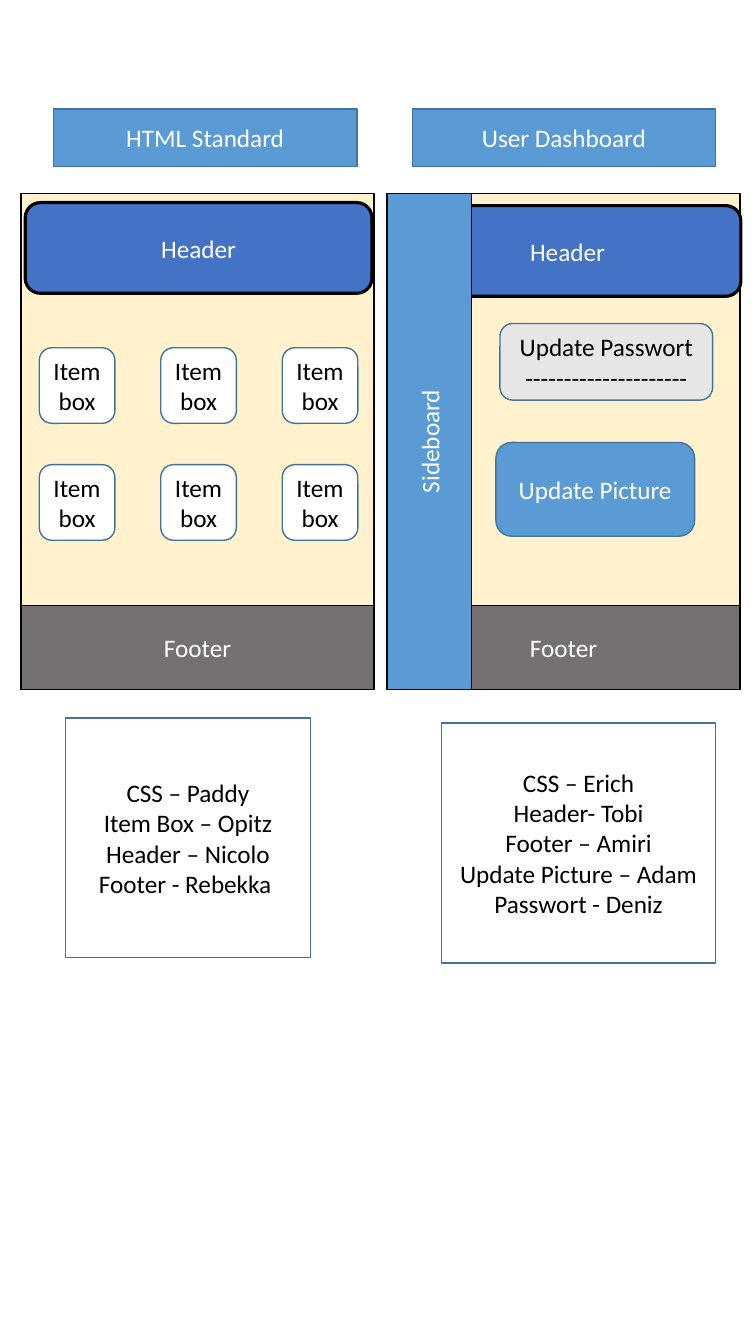
from dataclasses import dataclass

from lxml import etree
from pptx import Presentation
from pptx.dml.color import RGBColor
from pptx.enum.shapes import MSO_SHAPE
from pptx.enum.text import MSO_ANCHOR, MSO_AUTO_SIZE, PP_ALIGN
from pptx.oxml.ns import qn
from pptx.util import Inches, Pt

RECTANGLE = MSO_SHAPE.RECTANGLE
ROUNDED = MSO_SHAPE.ROUNDED_RECTANGLE
CENTER = PP_ALIGN.CENTER
MIDDLE = MSO_ANCHOR.MIDDLE
NO_AUTOFIT = MSO_AUTO_SIZE.NONE
COMPARISON_LAYOUT = 4


@dataclass(frozen=True)
class Theme:
    """Colours, font and sizes of the slide."""
    font: str = "Calibri"
    text_size: float = 18
    thin: float = 1
    thick: float = 2.25
    white: str = "FFFFFF"
    black: str = "000000"
    page: str = "FFF2CC"
    header: str = "4472C4"
    footer: str = "767171"
    accent: str = "5B9BD5"
    outline: str = "43739E"
    field: str = "E7E6E6"


THEME = Theme()


@dataclass(frozen=True)
class Box:
    """A rectangle measured in EMU."""
    left: int
    top: int
    width: int
    height: int

    def share(self, left, top, width, height):
        """Return an inner box given in percent of this box."""
        return Box(self.left + round(self.width * left / 100),
                   self.top + round(self.height * top / 100),
                   round(self.width * width / 100),
                   round(self.height * height / 100))

    def turned(self):
        """Return the box with swapped sides around the same centre."""
        shift = (self.width - self.height) // 2
        return Box(self.left + shift, self.top - shift, self.height, self.width)


def style(shape, fill, line, line_width=THEME.thin):
    """Set fill and outline; a fill of None leaves the shape open."""
    if fill:
        shape.fill.solid()
        shape.fill.fore_color.rgb = RGBColor.from_string(fill)
    else:
        shape.fill.background()
    shape.line.color.rgb = RGBColor.from_string(line)
    shape.line.width = Pt(line_width)


def write(shape, paragraphs, color):
    """Write centred paragraphs; a newline inside one is a line break."""
    frame = shape.text_frame
    frame.word_wrap = True
    frame.auto_size = NO_AUTOFIT
    frame.vertical_anchor = MIDDLE
    for index, text in enumerate(paragraphs):
        paragraph = frame.add_paragraph() if index else frame.paragraphs[0]
        paragraph.alignment = CENTER
        paragraph.line_spacing = 1.0
        paragraph.space_before = Pt(0)
        for number, line in enumerate(text.split("\n")):
            if number:
                paragraph.add_line_break()
            run = paragraph.add_run()
            run.text = line
            run.font.name = THEME.font
            run.font.size = Pt(THEME.text_size)
            run.font.bold = False
            run.font.color.rgb = RGBColor.from_string(color)


def add_block(slide, box, kind, fill, paragraphs=(), color=THEME.white,
              line=THEME.black, line_width=THEME.thin):
    """Add a preset shape with centred text."""
    shape = slide.shapes.add_shape(kind, box.left, box.top, box.width, box.height)
    shape.shadow.inherit = False
    style(shape, fill, line, line_width)
    write(shape, paragraphs, color)
    return shape


def fill_placeholder(slide, index, box, paragraphs, fill, color):
    """Move a text placeholder to the box and format it without bullets."""
    shape = slide.placeholders[index]
    shape.left, shape.top, shape.width, shape.height = (
        box.left, box.top, box.width, box.height)
    style(shape, fill, THEME.outline)
    write(shape, paragraphs, color)
    for paragraph in shape.text_frame.paragraphs:
        properties = paragraph._p.get_or_add_pPr()
        properties.set("marL", "0")
        properties.set("indent", "0")
        etree.SubElement(properties, qn("a:buNone"))


def add_page(slide, box, header_left, header_top):
    """Draw the frame, header and footer of a mock page."""
    add_block(slide, box, RECTANGLE, THEME.page)
    add_block(slide, box.share(header_left, header_top, 98.3, 18.3), ROUNDED,
              THEME.header, ["Header"], line_width=THEME.thick)
    add_block(slide, box.share(0, 83.1, 100, 16.9), RECTANGLE,
              THEME.footer, ["Footer"])


def add_standard_page(slide, box):
    """Draw the standard page with its grid of item boxes."""
    add_page(slide, box, 1.14, 1.83)
    for row in range(2):
        for column in range(3):
            cell = box.share(5.14 + 34.43 * column, 31.1 + 23.58 * row, 21.43, 15.24)
            item = add_block(slide, cell, ROUNDED, THEME.white, ["Item\nbox"],
                             THEME.black, THEME.outline)
            item.text_frame.margin_left = item.text_frame.margin_right = 0


def add_dashboard_page(slide, box):
    """Draw the dashboard page with its sideboard and update controls."""
    add_page(slide, box, 2, 2.44)
    sideboard = add_block(slide, box.share(0, 0, 24, 100).turned(), RECTANGLE,
                          THEME.accent, ["Sideboard"])
    sideboard.rotation = 270
    add_block(slide, box.share(30.86, 50.2, 56.29, 18.9), ROUNDED, THEME.accent,
              ["Update Picture"], line=THEME.outline)
    add_block(slide, box.share(32, 26.22, 60.29, 15.45), ROUNDED, THEME.field,
              ["Update Passwort", "-" * 21], THEME.black, THEME.outline)


def add_comparison(slide, box):
    """Place both headings, mock pages and team lists."""
    columns = (
        ("HTML Standard", 7.07, add_standard_page, 2.8, (8.67, 53.41, 32.4, 17.85),
         ["CSS – Paddy", "Item Box – Opitz", "Header – Nicolo", "Footer - Rebekka "]),
        ("User Dashboard", 54.53, add_dashboard_page, 51.2, (58.4, 53.79, 36.27, 17.85),
         ["CSS – Erich", "Header- Tobi", "Footer – Amiri", "Update Picture – Adam",
          "Passwort - Deniz"]),
    )
    for number, (heading, heading_left, add_mock, page_left, team_box, team) in enumerate(columns):
        fill_placeholder(slide, 1 + 2 * number, box.share(heading_left, 8.1, 40.13, 4.28),
                         [heading], THEME.accent, THEME.white)
        add_mock(slide, box.share(page_left, 14.4, 46.67, 36.9))
        fill_placeholder(slide, 2 + 2 * number, box.share(*team_box),
                         team, None, THEME.black)


def main():
    """Build and save the presentation."""
    presentation = Presentation()
    presentation.slide_width = Inches(7.5)
    presentation.slide_height = Inches(13.33)
    slide = presentation.slides.add_slide(presentation.slide_layouts[COMPARISON_LAYOUT])
    title = slide.shapes.title.element
    title.getparent().remove(title)
    add_comparison(slide, Box(0, 0, presentation.slide_width, presentation.slide_height))
    presentation.save("out.pptx")


main()
